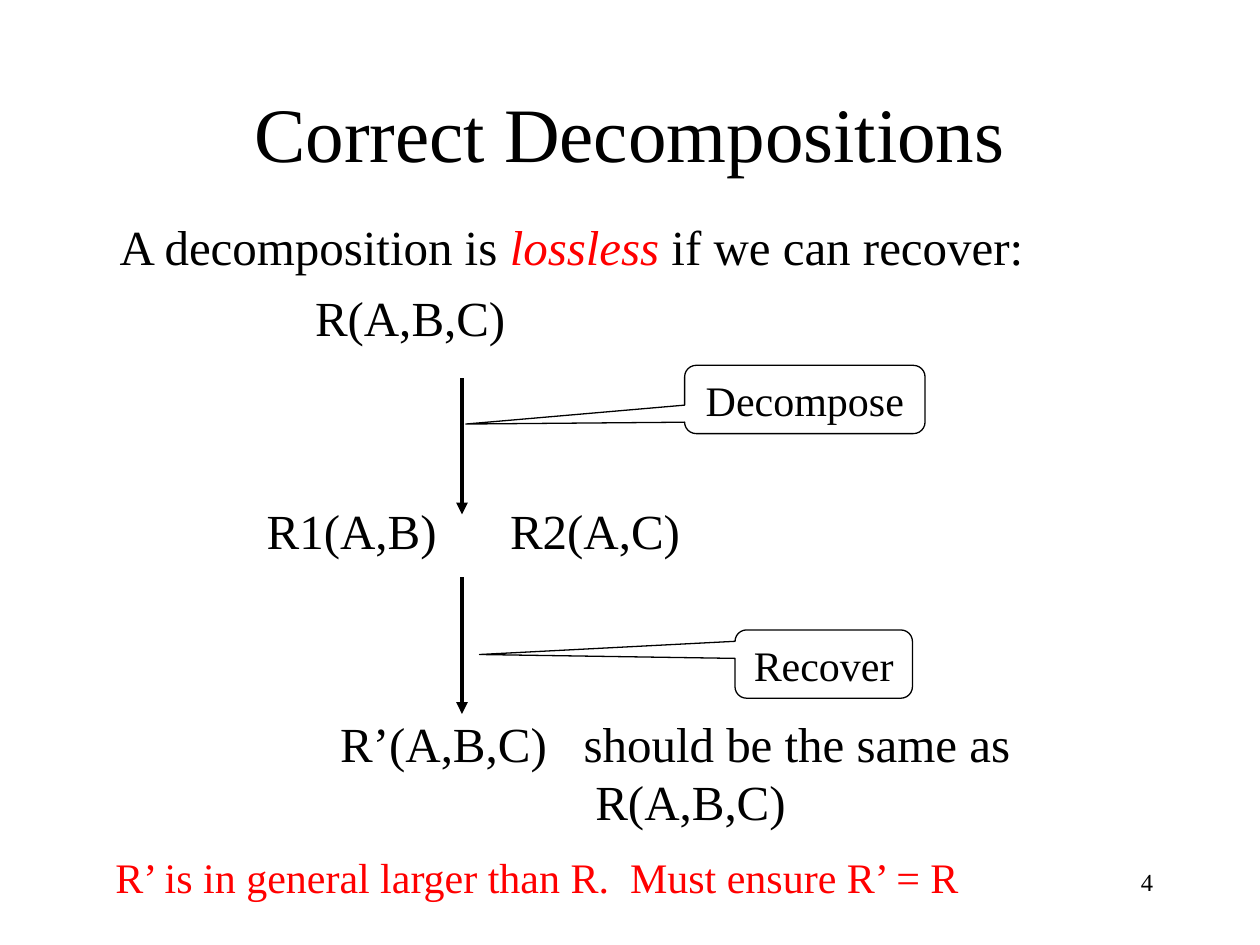
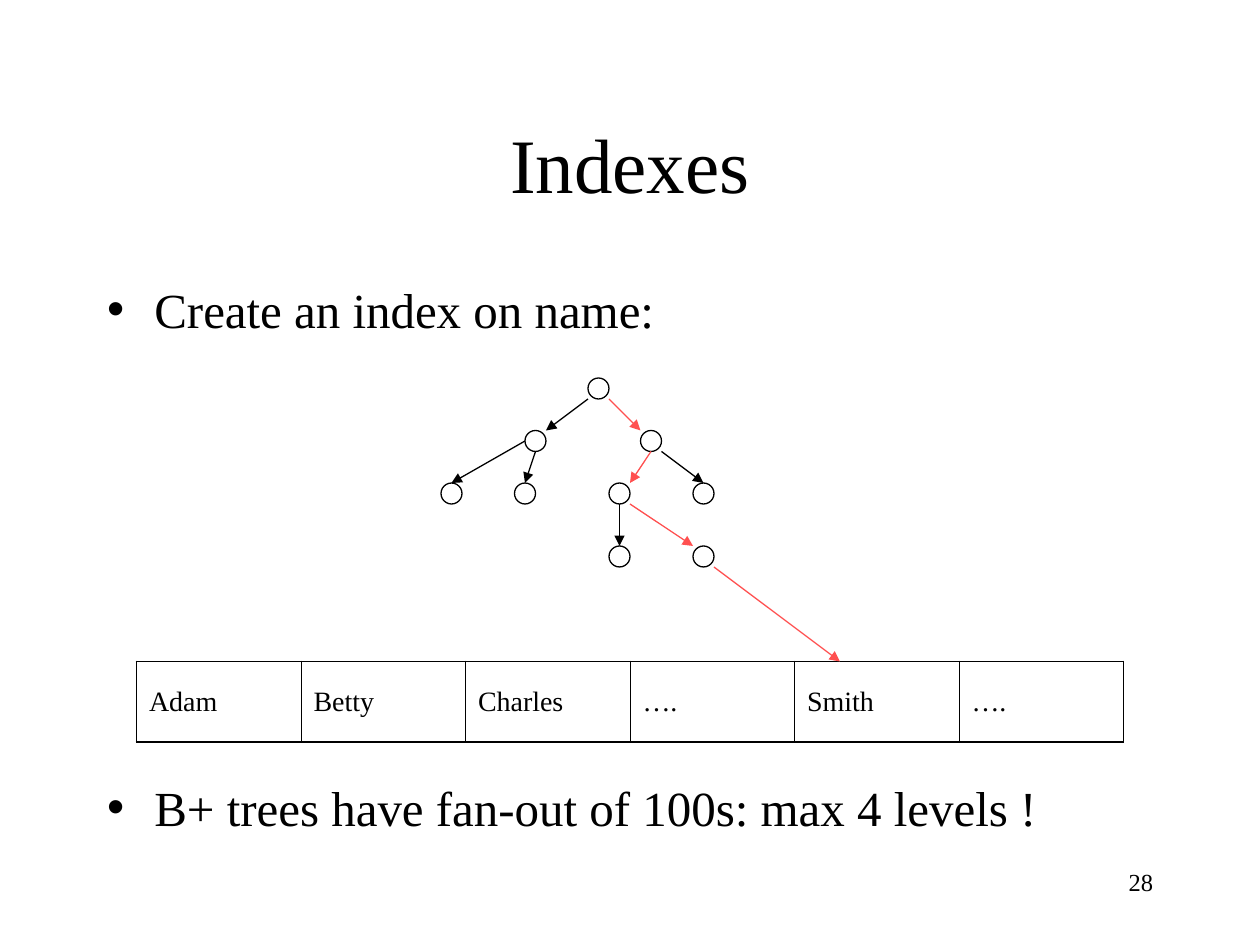
from dataclasses import dataclass

from lxml import etree
from pptx import Presentation
from pptx.dml.color import RGBColor
from pptx.enum.shapes import MSO_CONNECTOR, MSO_SHAPE
from pptx.enum.text import MSO_ANCHOR, MSO_AUTO_SIZE, PP_ALIGN
from pptx.oxml.ns import qn
from pptx.util import Emu, Pt

LINE = MSO_CONNECTOR.STRAIGHT
OVAL = MSO_SHAPE.OVAL
CALLOUT = MSO_SHAPE.ROUNDED_RECTANGULAR_CALLOUT
TOP, MIDDLE = MSO_ANCHOR.TOP, MSO_ANCHOR.MIDDLE
LEFT, CENTER, RIGHT = PP_ALIGN.LEFT, PP_ALIGN.CENTER, PP_ALIGN.RIGHT
NO_FIT = MSO_AUTO_SIZE.NONE
EMU_PER_PX = 7620


@dataclass(frozen=True)
class Theme:
    font: str = "Times New Roman"
    ink: str = "000000"
    paper: str = "FFFFFF"
    accent: str = "FF0000"
    search: str = "FF5050"
    title: int = 44
    body: int = 28
    label: int = 24
    cell: int = 16
    number: int = 14
    list_gap: int = 7
    cell_gap: int = 4
    thin: float = 0.75
    thick: float = 2.25
    grid_inner: float = 0.45
    grid_outer: float = 1.08


T = Theme()


def px(n):
    return Emu(n * EMU_PER_PX)


def rgb(color):
    return RGBColor.from_string(color)


def write(p, text, size=T.body, color=T.ink, italic=False, align=None,
          before=None, tracking=0):
    r = p.add_run()
    r.text = text
    r.font.name = T.font
    r.font.size = Pt(size)
    r.font.color.rgb = rgb(color)
    r.font.italic = italic
    if tracking:
        r._r.get_or_add_rPr().set("spc", str(tracking * 100))
    if align is not None:
        p.alignment = align
    if before is not None:
        p.space_before = Pt(before)


def place(sp, box):
    sp.left, sp.top, sp.width, sp.height = map(px, box)


def add_title(slide, box, text):
    sp = slide.shapes.title
    place(sp, box)
    tf = sp.text_frame
    tf.auto_size = NO_FIT
    tf.vertical_anchor = MIDDLE
    write(tf.paragraphs[0], text, size=T.title, align=CENTER)


def body_paragraphs(slide, box, count):
    sp = slide.placeholders[1]
    place(sp, box)
    tf = sp.text_frame
    tf.auto_size = NO_FIT
    tf.word_wrap = True
    while len(tf.paragraphs) < count:
        tf.add_paragraph()
    return tf.paragraphs


def set_indent(p, indent):
    pPr = p._p.get_or_add_pPr()
    pPr.set("marL", str(px(indent)))
    pPr.set("indent", "0")
    etree.SubElement(pPr, qn("a:buNone"))


def add_text(slide, box, text, wrap=True, **fmt):
    sp = slide.shapes.add_textbox(*map(px, box))
    tf = sp.text_frame
    tf.word_wrap = wrap
    write(tf.paragraphs[0], text, **fmt)


def add_number(slide, number):
    add_text(slide, (860, 820, 250, 60), str(number), size=T.number, align=RIGHT)


def add_arrow(slide, start, end, color=T.ink, width=T.thin):
    cn = slide.shapes.add_connector(LINE, *map(px, (*start, *end)))
    cn.line.color.rgb = rgb(color)
    cn.line.width = Pt(width)
    ln = cn.line._get_or_add_ln()
    etree.SubElement(ln, qn("a:tailEnd"), type="triangle")
    etree.SubElement(cn._element.spPr, qn("a:effectLst"))


def add_outlined(slide, kind, box):
    sp = slide.shapes.add_shape(kind, *map(px, box))
    sp.shadow.inherit = False
    sp.fill.background()
    sp.line.color.rgb = rgb(T.ink)
    sp.line.width = Pt(T.thin)
    return sp


def add_callout(slide, box, text, tip):
    sp = add_outlined(slide, CALLOUT, box)
    sp.fill.solid()
    sp.fill.fore_color.rgb = rgb(T.paper)
    for i, value in enumerate((*tip, 0.17)):
        sp.adjustments[i] = value
    tf = sp.text_frame
    tf.word_wrap = False
    tf.vertical_anchor = TOP
    write(tf.paragraphs[0], text, size=T.label, align=CENTER)


def add_recovery_steps(slide, box):
    step_gap = 88
    rows = [
        (12, T.list_gap, [("A decomposition is ", {}),
                          ("lossless", {"color": T.accent, "italic": True}),
                          (" if we can recover:", {})]),
        (198, T.list_gap, [("R(A,B,C)", {})]),
        (152, step_gap, [("R1(A,B)", {}), (" ", {"tracking": 35}),
                         ("R2(A,C)", {})]),
        (222, step_gap, [("R’(A,B,C)", {}), (" ", {"tracking": 14}),
                         ("should be the same as", {})]),
        (465, 0, [("R(A,B,C)", {})]),
    ]
    for p, (indent, gap, runs) in zip(body_paragraphs(slide, box, len(rows)), rows):
        p.space_before = Pt(gap)
        set_indent(p, indent)
        for text, fmt in runs:
            write(p, text, **fmt)


def add_tree(slide, box):
    x, y, size = box
    nodes = {
        "root": (140, 0), "left": (80, 50), "right": (190, 50),
        "leaf1": (0, 100), "leaf2": (70, 100), "mid": (160, 100),
        "leaf3": (240, 100), "leaf4": (160, 160), "leaf5": (240, 160),
    }
    half = size // 2
    sides = {
        "nw": (0, 0), "n": (half, 0), "ne": (size, 0), "w": (0, half),
        "sw": (0, size), "s": (half, size), "se": (size, size),
    }
    edges = [
        ("root", "sw", "left", "ne", T.ink),
        ("root", "se", "right", "nw", T.search),
        ("left", "w", "leaf1", "n", T.ink),
        ("left", "s", "leaf2", "n", T.ink),
        ("right", "s", "mid", "ne", T.search),
        ("right", "se", "leaf3", "n", T.ink),
        ("mid", "s", "leaf4", "n", T.ink),
        ("mid", "se", "leaf5", "nw", T.search),
    ]

    def point(node, side):
        (nx, ny), (dx, dy) = nodes[node], sides[side]
        return x + nx + dx, y + ny + dy

    for nx, ny in nodes.values():
        add_outlined(slide, OVAL, (x + nx, y + ny, size, size))
    for parent, start, child, end, color in edges:
        add_arrow(slide, point(parent, start), point(child, end), color)
    add_arrow(slide, point("leaf5", "se"), (x + 380, y + 270), T.search)


def set_borders(cell, widths):
    tcPr = cell._tc.get_or_add_tcPr()
    for side, width in zip("LRTB", widths):
        ln = etree.SubElement(tcPr, qn("a:ln" + side), w=str(Pt(width)))
        fill = etree.SubElement(ln, qn("a:solidFill"))
        etree.SubElement(fill, qn("a:srgbClr"), val=T.ink)


def add_names(slide, box, names):
    table = slide.shapes.add_table(1, len(names), *map(px, box)).table
    table.first_row = False
    table.horz_banding = False
    last = len(names) - 1
    for i, name in enumerate(names):
        table.columns[i].width = Emu(px(box[2]) // len(names))
        cell = table.cell(0, i)
        left = T.grid_inner if i else T.grid_outer
        right = T.grid_inner if i < last else T.grid_outer
        set_borders(cell, (left, right, T.grid_outer, T.grid_outer))
        cell.fill.background()
        cell.vertical_anchor = MIDDLE
        write(cell.text_frame.paragraphs[0], name, size=T.cell,
              align=LEFT, before=T.cell_gap)


def decompositions_slide(prs):
    slide = prs.slides.add_slide(prs.slide_layouts[1])
    add_title(slide, (90, 50, 1020, 150), "Correct Decompositions")
    add_recovery_steps(slide, (90, 200, 1050, 600))
    for top in (360, 550):
        add_arrow(slide, (440, top), (440, top + 130), width=T.thick)
    add_text(slide, (98, 805, 834, 60),
             "R’ is in general larger than R.  Must ensure R’ = R",
             wrap=False, size=T.label, color=T.accent)
    add_callout(slide, (652, 348, 229, 65), "Decompose", (-1.41, 0.36))
    add_callout(slide, (700, 600, 169, 65), "Recover", (-1.94, -0.14))
    add_number(slide, 4)


def indexes_slide(prs):
    slide = prs.slides.add_slide(prs.slide_layouts[1])
    add_title(slide, (90, 80, 1020, 150), "Indexes")
    first, second = body_paragraphs(slide, (90, 260, 1050, 540), 2)
    write(first, "Create an index on name:", before=T.list_gap)
    write(second, "B+ trees have fan-out of 100s: max 4 levels !", before=251)
    add_names(slide, (130, 630, 940, 77),
              ["Adam", "Betty", "Charles", "….", "Smith", "…."])
    add_tree(slide, (420, 360, 20))
    add_number(slide, 28)


def main():
    prs = Presentation()
    prs.slide_width, prs.slide_height = px(1200), px(900)
    decompositions_slide(prs)
    indexes_slide(prs)
    prs.save("out.pptx")


if __name__ == "__main__":
    main()
